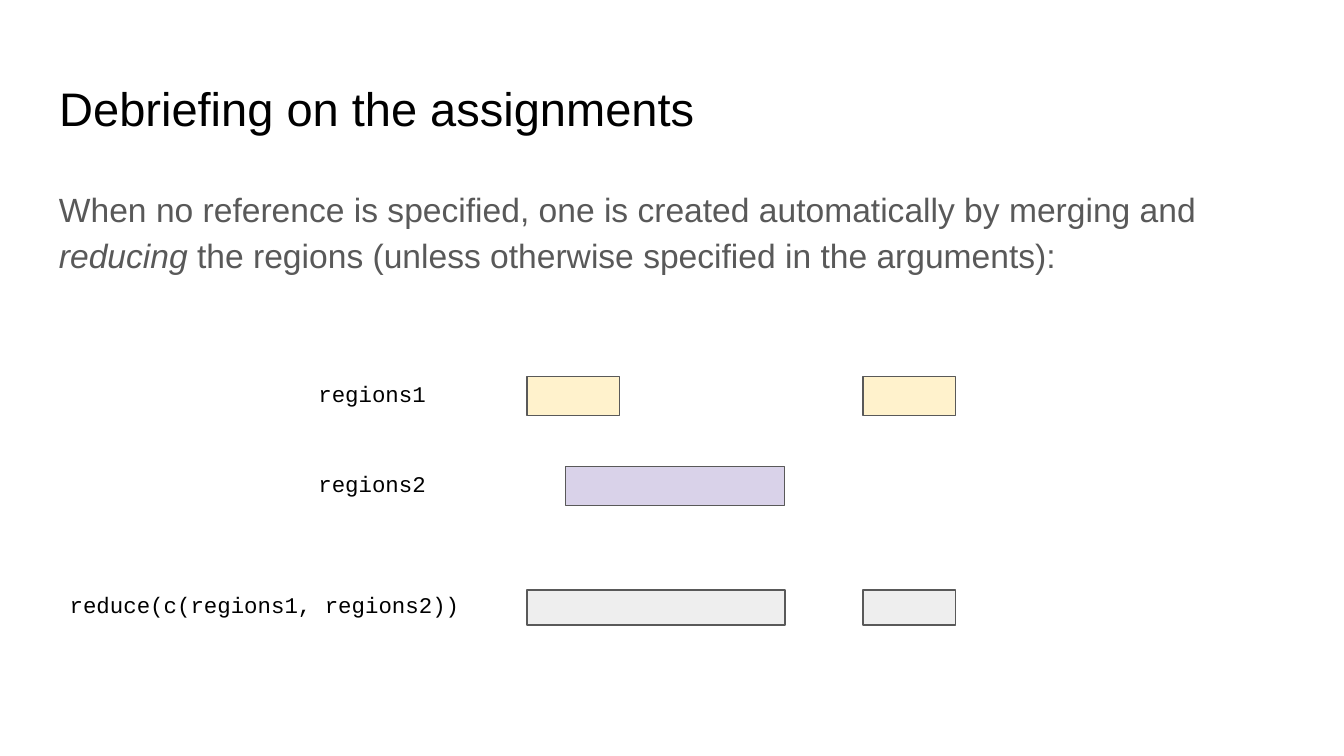
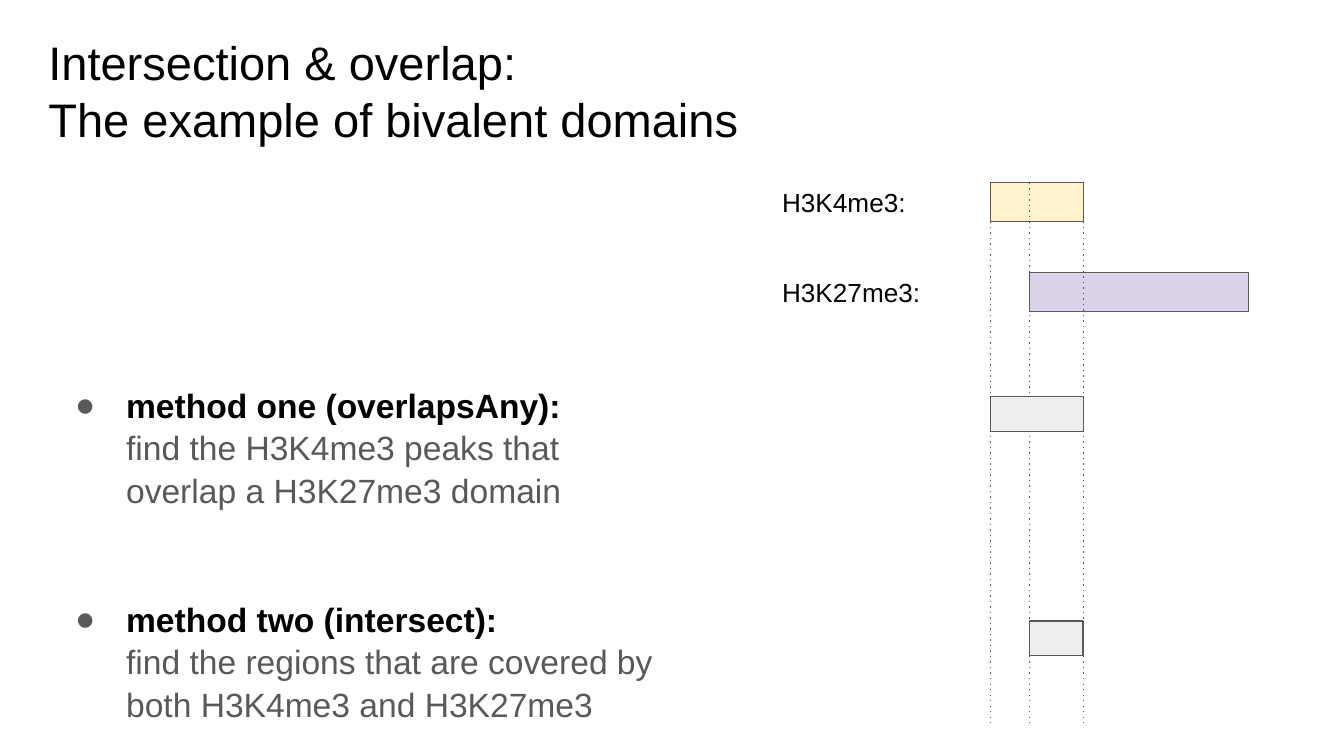
"""Build two slides on reducing, overlapping and intersecting genomic regions."""
from typing import NamedTuple

import lxml.etree
import pptx
import pptx.dml.color
import pptx.enum.shapes
import pptx.enum.text
import pptx.oxml.ns
import pptx.util

Inches = pptx.util.Inches
Pt = pptx.util.Pt
qn = pptx.oxml.ns.qn

COLORS = {
    "black": "000000",
    "gray": "595959",
    "white": "FFFFFF",
    "yellow": "FFF2CC",
    "purple": "D9D2E9",
    "pale": "EEEEEE",
}
SANS, MONO = "Arial", "Courier New"
WIDE = 10
HIGH = WIDE * 9 / 16
INSET = 0.1
SHORT, LONG, SHIFT = 0.69, 1.63, 0.29
PITCH, TALL, FLAT = 0.67, 0.29, 0.26


class Run(NamedTuple):
    text: str
    color: str = "gray"
    bold: bool = False
    slant: bool = False


class Bar(NamedTuple):
    left: float
    top: float
    width: float
    height: float
    fill: str


class Label(NamedTuple):
    text: str
    left: float
    top: float
    width: float
    font: str
    size: float


class Method(NamedTuple):
    name: str
    detail: str
    before: float


def get_color(name: str) -> pptx.dml.color.RGBColor:
    return pptx.dml.color.RGBColor.from_string(COLORS[name])


def set_frame(frame) -> None:
    frame.word_wrap = True
    frame.auto_size = pptx.enum.text.MSO_AUTO_SIZE.NONE
    frame.vertical_anchor = pptx.enum.text.MSO_ANCHOR.TOP
    frame.margin_left = frame.margin_right = Inches(INSET)
    frame.margin_top = frame.margin_bottom = Inches(INSET)


def add_run(para, part: Run, size: float, face: str = SANS) -> None:
    run = para.add_run()
    run.text = part.text
    font = run.font
    font.name, font.size = face, Pt(size)
    font.bold, font.italic = part.bold, part.slant
    font.color.rgb = get_color(part.color)


def add_slide(deck, left: float, top: float, lines: list[str]):
    slide = deck.slides.add_slide(deck.slide_layouts[5])
    slide.background.fill.solid()
    slide.background.fill.fore_color.rgb = get_color("white")
    title = slide.shapes.title
    title.left, title.top = Inches(left), Inches(top)
    title.width, title.height = Inches(9.32), Inches(0.63)
    frame = title.text_frame
    set_frame(frame)
    for i, line in enumerate(lines):
        para = frame.add_paragraph() if i else frame.paragraphs[0]
        para.alignment = pptx.enum.text.PP_ALIGN.LEFT
        add_run(para, Run(line, "black"), 25.2)
    return slide


def add_text(slide, left: float, top: float, width: float, height: float):
    box = slide.shapes.add_textbox(
        Inches(left), Inches(top), Inches(width), Inches(height))
    set_frame(box.text_frame)
    return box.text_frame


def add_label(slide, label: Label) -> None:
    frame = add_text(slide, label.left, label.top, label.width, 0.4)
    add_run(frame.paragraphs[0], Run(label.text, "black"), label.size, label.font)


def add_bar(slide, bar: Bar) -> None:
    shape = slide.shapes.add_shape(
        pptx.enum.shapes.MSO_SHAPE.RECTANGLE, Inches(bar.left), Inches(bar.top),
        Inches(bar.width), Inches(bar.height))
    shape.shadow.inherit = False
    shape.fill.solid()
    shape.fill.fore_color.rgb = get_color(bar.fill)
    shape.line.color.rgb = get_color("gray")
    shape.line.width = Pt(0.75)


def add_guide(slide, left: float, top: float, end: float) -> None:
    guide = slide.shapes.add_connector(
        pptx.enum.shapes.MSO_CONNECTOR.STRAIGHT,
        Inches(left), Inches(top), Inches(left), Inches(end))
    guide.line.color.rgb = get_color("gray")
    guide.line.width = Pt(0.75)
    props = guide._element.spPr
    lxml.etree.SubElement(props.find(qn("a:ln")), qn("a:prstDash")).set("val", "dot")
    lxml.etree.SubElement(props, qn("a:effectLst"))


def add_tracks(slide, left: float, top: float, names: list[str],
               font: str, size: float) -> None:
    add_bar(slide, Bar(left, top, SHORT, TALL, "yellow"))
    add_bar(slide, Bar(left + SHIFT, top + PITCH, LONG, TALL, "purple"))
    for i, name in enumerate(names):
        add_label(slide, Label(name, left - 1.65, top - 0.07 + i * PITCH,
                               1.42, font, size))


def add_bullet(para) -> None:
    props = para._p.get_or_add_pPr()
    props.set("marL", str(Inches(0.5)))
    props.set("indent", str(-Inches(0.38)))
    tint = lxml.etree.SubElement(props, qn("a:buClr"))
    lxml.etree.SubElement(tint, qn("a:srgbClr")).set("val", COLORS["gray"])
    lxml.etree.SubElement(props, qn("a:buFont")).set("typeface", SANS)
    lxml.etree.SubElement(props, qn("a:buChar")).set("char", "●")


def build_reduce(deck) -> None:
    slide = add_slide(deck, 0.34, 0.49, ["Debriefing on the assignments"])
    para = add_text(slide, 0.34, 1.26, 9.32, 3.74).paragraphs[0]
    para.line_spacing = 1.15
    for part in (
        Run("When no reference is specified, one is created automatically "
            "by merging and "),
        Run("reducing", slant=True),
        Run(" the regions (unless otherwise specified in the arguments):"),
    ):
        add_run(para, part, 18)

    left, top, low, far = 3.92, 2.8, 4.39, 6.42
    add_tracks(slide, left, top, ["regions1", "regions2"], MONO, 12)
    for bar in (
        Bar(left, low, SHIFT + LONG, FLAT, "pale"),
        Bar(far, top, SHORT, TALL, "yellow"),
        Bar(far, low, SHORT, FLAT, "pale"),
    ):
        add_bar(slide, bar)
    add_label(slide, Label("reduce(c(regions1, regions2))", 0.42, 4.3, 3.1, MONO, 12))


def build_overlap(deck) -> None:
    slide = add_slide(deck, 0.26, 0.15, [
        "Intersection & overlap:", "The example of bivalent domains"])
    frame = add_text(slide, 0.34, 2.75, 4.66, 2.75)
    methods = [
        Method("method one (overlapsAny):",
               "find the H3K4me3 peaks that overlap a H3K27me3 domain", 0),
        Method("method two (intersect):",
               "find the regions that are covered by both H3K4me3 and H3K27me3", 46.5),
    ]
    for i, method in enumerate(methods):
        para = frame.add_paragraph() if i else frame.paragraphs[0]
        add_bullet(para)
        para.line_spacing = 1.05
        para.space_before = Pt(method.before)
        add_run(para, Run(method.name, "black", bold=True), 18)
        para.add_line_break()
        add_run(para, Run(method.detail), 18)

    left, top = 7.37, 1.36
    add_tracks(slide, left, top, ["H3K4me3:", "H3K27me3:"], SANS, 14)
    for shift in (SHORT, SHIFT, 0):
        add_guide(slide, left + shift, top, 5.38)
    add_bar(slide, Bar(left + SHIFT, 4.62, SHORT - SHIFT, FLAT, "pale"))
    add_bar(slide, Bar(left, 2.95, SHORT, FLAT, "pale"))


def main() -> None:
    deck = pptx.Presentation()
    deck.slide_width, deck.slide_height = Inches(WIDE), Inches(HIGH)
    build_reduce(deck)
    build_overlap(deck)
    deck.save("out.pptx")


if __name__ == "__main__":
    main()
